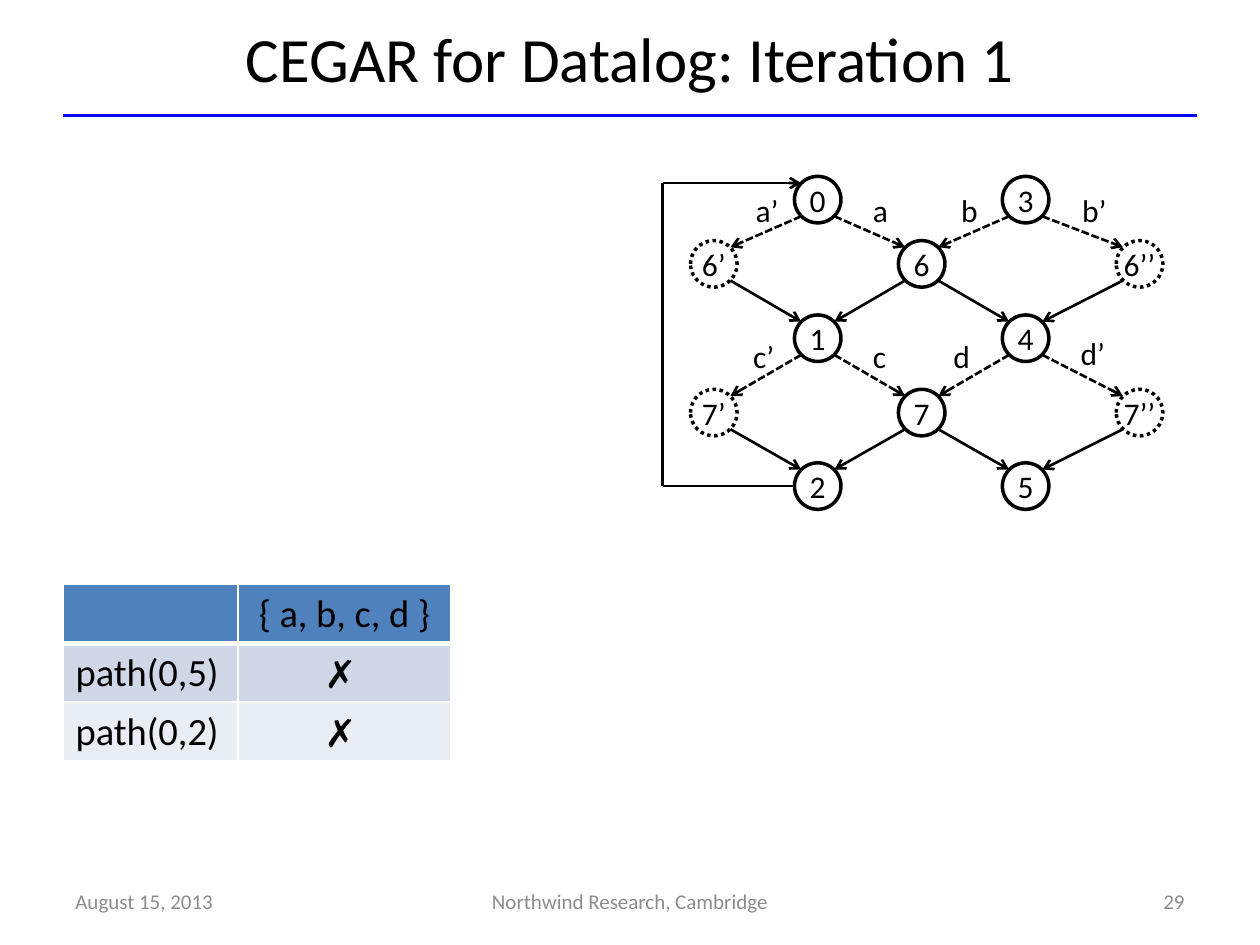
from lxml.etree import SubElement
from pptx import Presentation
from pptx.dml.color import RGBColor
from pptx.enum.dml import MSO_LINE
from pptx.enum.shapes import MSO_CONNECTOR, MSO_SHAPE
from pptx.enum.text import MSO_ANCHOR, PP_ALIGN
from pptx.oxml.ns import qn
from pptx.util import Pt

COLORS = {
    "ink": "000000", "paper": "FFFFFF", "rule": "0000FF", "footer": "8C8C8C",
    "header": "4F81BD", "band_dark": "D0D8E8", "band_light": "E9EDF4",
}
LEFT, CENTER, RIGHT = PP_ALIGN.LEFT, PP_ALIGN.CENTER, PP_ALIGN.RIGHT


def color(name):
    return RGBColor.from_string(COLORS[name])


def write(tf, text, size, align=LEFT, ink="ink", font="Calibri"):
    tf.text = text
    p = tf.paragraphs[0]
    p.alignment = align
    for r in p.runs:
        r.font.size = Pt(size)
        r.font.name = font
        r.font.bold = False
        r.font.color.rgb = color(ink)


def add_text(slide, box, text, size, align=LEFT, anchor=MSO_ANCHOR.MIDDLE, **style):
    tf = slide.shapes.add_textbox(*map(Pt, box)).text_frame
    tf.word_wrap = True
    tf.vertical_anchor = anchor
    write(tf, text, size, align, **style)


def add_line(slide, start, end, width=1.5, ink="ink", dash=None, arrow=False):
    sp = slide.shapes.add_connector(MSO_CONNECTOR.STRAIGHT, *map(Pt, (*start, *end)))
    sp.line.width = Pt(width)
    sp.line.color.rgb = color(ink)
    if dash:
        sp.line.dash_style = dash
    if arrow:
        SubElement(sp.line._get_or_add_ln(), qn("a:tailEnd"), type="arrow")
    SubElement(sp._element.spPr, qn("a:effectLst"))


def add_title(slide, x, y, w, h):
    add_line(slide, (x, y + h), (x + w, y + h), 2.25, "rule")
    add_text(slide, (x, y, w, h), "CEGAR for Datalog: Iteration 1", 36, CENTER)


def add_footer(slide, x, y, w, h):
    side, middle = 168, 228
    parts = [
        (x, side, "August 15, 2013", LEFT),
        (x + (w - middle) / 2, middle, "Northwind Research, Cambridge", CENTER),
        (x + w - side, side, "29", RIGHT),
    ]
    for left, width, text, align in parts:
        add_text(slide, (left, y, width, h), text, 12, align, ink="footer")


def add_node(slide, cx, cy, size, text):
    sp = slide.shapes.add_shape(
        MSO_SHAPE.OVAL, *map(Pt, (cx - size / 2, cy - size / 2, size, size)))
    sp.shadow.inherit = False
    sp.fill.solid()
    sp.fill.fore_color.rgb = color("paper")
    sp.line.color.rgb = color("ink")
    sp.line.width = Pt(2)
    if "’" in text:
        sp.line.dash_style = MSO_LINE.ROUND_DOT
    tf = sp.text_frame
    tf.margin_left = tf.margin_right = tf.margin_top = tf.margin_bottom = 0
    tf.vertical_anchor = MSO_ANCHOR.MIDDLE
    tf.word_wrap = False
    write(tf, text, 18, CENTER)


def add_graph(slide, x, y):
    size, corner = 26.6, 9.5
    cols = [x + 29.2 + 59.4 * i for i in range(4)] + [x + 272.5]
    rows = [y + dy for dy in (13.3, 50, 92.5, 135, 177)]
    layout = [
        {1: "0", 3: "3"},
        {0: "6’", 2: "6", 4: "6’’"},
        {1: "1", 3: "4"},
        {0: "7’", 2: "7", 4: "7’’"},
        {1: "2", 3: "5"},
    ]
    for row, nodes in enumerate(layout):
        for col, text in nodes.items():
            add_node(slide, cols[col], rows[row], size, text)

    for row in range(len(layout) - 1):
        dash = MSO_LINE.SQUARE_DOT if row % 2 == 0 else None
        for col in layout[row]:
            for target in (col - 1, col + 1):
                if target in layout[row + 1]:
                    shift = corner * (target - col)
                    start = (cols[col] + shift, rows[row] + corner)
                    end = (cols[target] - shift, rows[row + 1] - corner)
                    add_line(slide, start, end, dash=dash, arrow=True)

    labels = [
        ("a’", 46, 5), ("a", 113, 5), ("b", 163.4, 5), ("b’", 232.6, 5),
        ("c’", 44.6, 88), ("c", 113, 88), ("d", 159, 88), ("d’", 231.8, 86.4),
    ]
    for text, dx, dy in labels:
        add_text(slide, (x + dx, y + dy, 33, 26.6), text, 18, anchor=MSO_ANCHOR.TOP)

    top = rows[0] - corner
    bottom = rows[-1]
    add_line(slide, (cols[1] - size / 2, bottom), (x, bottom))
    add_line(slide, (x, bottom), (x, top))
    add_line(slide, (x, top), (cols[1] - corner, top), arrow=True)


def set_borders(cell, bottom):
    tcPr = cell._tc.get_or_add_tcPr()
    widths = {"a:lnL": 1, "a:lnR": 1, "a:lnT": 1, "a:lnB": bottom}
    for i, (tag, width) in enumerate(widths.items()):
        ln = SubElement(tcPr, qn(tag), w=str(Pt(width)))
        fill = SubElement(ln, qn("a:solidFill"))
        SubElement(fill, qn("a:srgbClr"), val=COLORS["paper"])
        tcPr.insert(i, ln)


def add_results(slide, x, y):
    widths, row_height = (100, 121.8), 33.6
    texts = [("", "{ a, b, c, d }"), ("path(0,5)", ""), ("path(0,2)", "")]
    fills = ("header", "band_dark", "band_light")
    frame = slide.shapes.add_table(
        len(texts), len(widths),
        *map(Pt, (x, y, sum(widths), row_height * len(texts))))
    table = frame.table
    for column, width in zip(table.columns, widths):
        column.width = Pt(width)
    for i, row in enumerate(texts):
        for j, text in enumerate(row):
            cell = table.cell(i, j)
            cell.fill.solid()
            cell.fill.fore_color.rgb = color(fills[i])
            set_borders(cell, 3 if i == 0 else 1)
            if text:
                write(cell.text_frame, text, 22, CENTER if j else LEFT)
    for i in (1, 2):
        mark = (x + 139, y + row_height * i - 1.2, 39, 36.7)
        add_text(slide, mark, "✗", 22, CENTER, font="Arial")


def main():
    prs = Presentation()
    prs.slide_width, prs.slide_height = Pt(720), Pt(540)
    slide = prs.slides.add_slide(prs.slide_layouts[6])
    add_title(slide, 36, 0, 648, 66)
    add_footer(slide, 36, 500.5, 648, 28.8)
    add_graph(slide, 378.7, 100.8)
    add_results(slide, 36, 334)
    prs.save("out.pptx")


if __name__ == "__main__":
    main()
